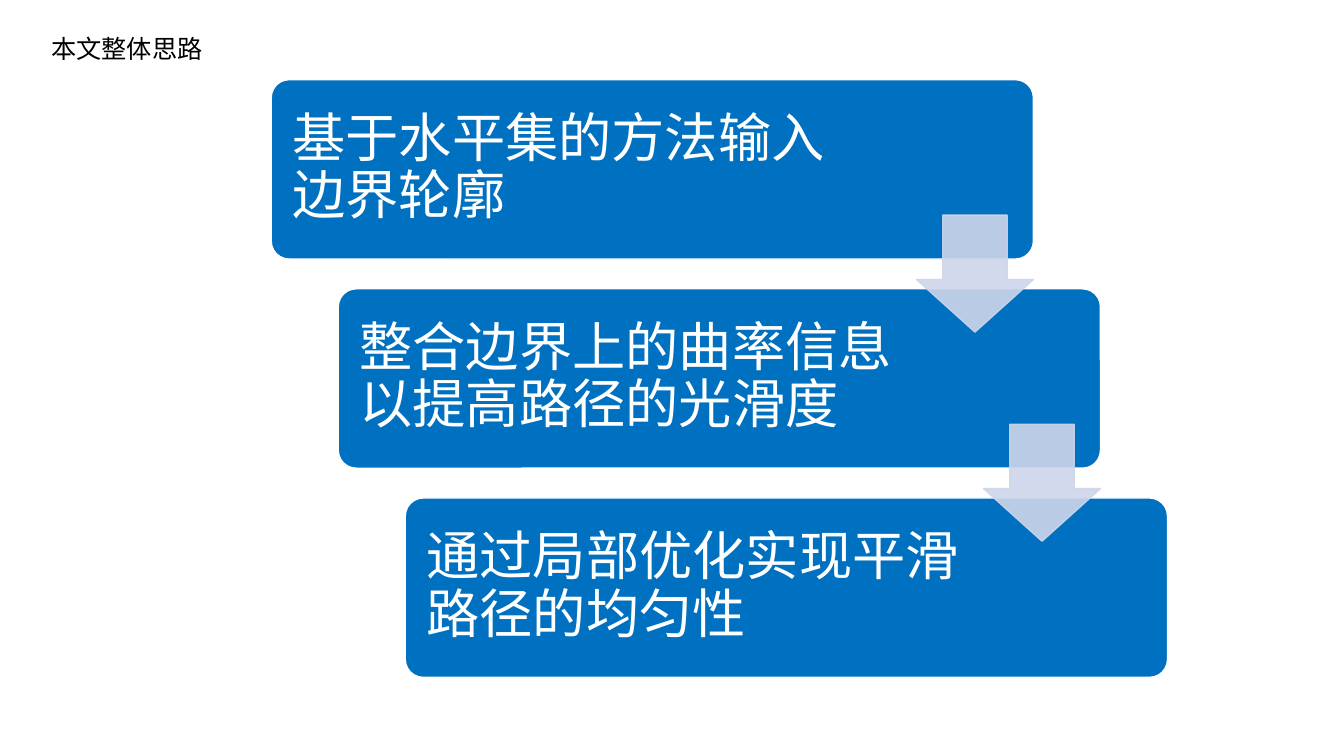
from lxml import etree
from pptx import Presentation
from pptx.dml.color import RGBColor
from pptx.enum.shapes import MSO_SHAPE as Shape
from pptx.enum.text import MSO_ANCHOR as Anchor, PP_ALIGN as Align
from pptx.oxml.ns import qn
from pptx.util import Inches, Pt

# Content
TITLE = "本文整体思路"
STEPS = [
    "基于水平集的方法输入边界轮廓",
    "整合边界上的曲率信息以提高路径的光滑度",
    "通过局部优化实现平滑路径的均匀性",
]

# Format
BLUE = RGBColor(0x00, 0x70, 0xC0)
PALE = RGBColor(0xCF, 0xD5, 0xEA)
WHITE = RGBColor(0xFF, 0xFF, 0xFF)
BLACK = RGBColor(0x00, 0x00, 0x00)
TITLE_FONT = {"name": "Calibri", "size": Pt(18)}
STEP_FONT = {"name": "Calibri", "size": Pt(38)}
STEP_FRAME = {"word_wrap": True, "vertical_anchor": Anchor.MIDDLE,
              **{f"margin_{side}": Inches(0.16)
                 for side in ("left", "top", "right", "bottom")}}
STEP_PARAGRAPH = {"alignment": Align.LEFT, "line_spacing": 0.9,
                  "space_after": Pt(13.3)}

# Staircase geometry, in inches
LEFT, TOP = 2.69, 0.79
STEP_X, STEP_Y = 0.665, 2.075
BOX_WIDTH, BOX_HEIGHT = 7.56, 1.78
TEXT_WIDTH, TEXT_HEIGHT, TEXT_INSET = 5.63, 1.67, 0.05
ARROW_X, ARROW_Y, ARROW_SIZE = 6.4, 1.345, 1.16


def apply(target, values):
    for name, value in values.items():
        setattr(target, name, value)


def add_shape(kind, left, top, width, height, fill, line, adjustments):
    shape = slide.shapes.add_shape(
        kind, Inches(left), Inches(top), Inches(width), Inches(height))
    shape.shadow.inherit = False
    shape.fill.solid()
    shape.fill.fore_color.rgb = fill
    shape.line.color.rgb = line
    shape.line.width = Pt(1)
    for index, value in enumerate(adjustments):
        shape.adjustments[index] = value
    return shape


def add_text(text, left, top, width, height, font, color, frame={}, layout={}):
    box = slide.shapes.add_textbox(
        Inches(left), Inches(top), Inches(width), Inches(height))
    apply(box.text_frame, frame)
    paragraph = box.text_frame.paragraphs[0]
    apply(paragraph, layout)
    run = paragraph.add_run()
    run.text = text
    apply(run.font, font)
    run.font.color.rgb = color


presentation = Presentation()
presentation.slide_width = Inches(13.33)
presentation.slide_height = Inches(7.5)
slide = presentation.slides.add_slide(presentation.slide_layouts[6])

# Steps, each lower and further right than the last
corners = [(LEFT + i * STEP_X, TOP + i * STEP_Y) for i in range(len(STEPS))]
for text, (left, top) in zip(STEPS, corners):
    add_shape(Shape.ROUNDED_RECTANGLE, left, top, BOX_WIDTH, BOX_HEIGHT,
              BLUE, WHITE, [0.1])
    add_text(text, left + TEXT_INSET, top + TEXT_INSET, TEXT_WIDTH, TEXT_HEIGHT,
             STEP_FONT, WHITE, STEP_FRAME, STEP_PARAGRAPH)

# Translucent arrows from each step to the next
for left, top in corners[:-1]:
    arrow = add_shape(Shape.DOWN_ARROW, left + ARROW_X, top + ARROW_Y,
                      ARROW_SIZE, ARROW_SIZE, PALE, PALE, [0.55, 0.45])
    for color in arrow._element.spPr.iter(qn("a:srgbClr")):
        etree.SubElement(color, qn("a:alpha"), val="90000")

# Title
add_text(TITLE, 0.41, 0.28, 1.83, 0.4, TITLE_FONT, BLACK)

presentation.save("out.pptx")
